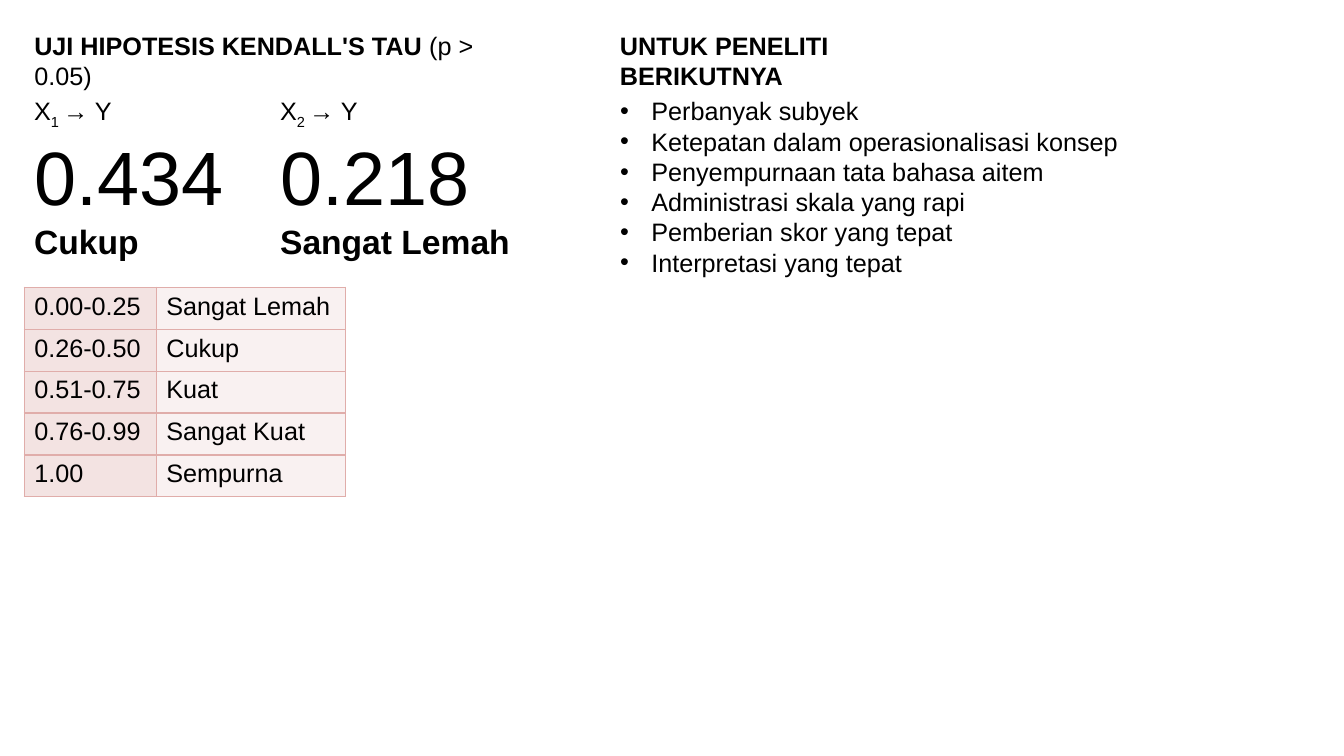
from dataclasses import dataclass

from lxml import etree
from pptx import Presentation
from pptx.dml.color import RGBColor
from pptx.enum.text import MSO_ANCHOR, MSO_AUTO_SIZE, PP_ALIGN
from pptx.oxml.ns import qn
from pptx.util import Inches, Pt

LEFT, TOP = PP_ALIGN.LEFT, MSO_ANCHOR.TOP
FIT_SHAPE = MSO_AUTO_SIZE.SHAPE_TO_FIT_TEXT


@dataclass(frozen=True)
class Theme:
    font: str = "Arial"
    ink: str = "000000"
    border: str = "E0ADAA"
    range_fill: str = "F3E3E2"
    label_fill: str = "F9F1F1"
    body: int = 18
    value: int = 54
    verdict: int = 24


THEME = Theme()

RESULTS = [
    ("1", "0.434", "Cukup", 0, 2.08),
    ("2", "0.218", "Sangat Lemah", 2.44, 2.48),
]
SCALE = [
    ("0.00-0.25", "Sangat Lemah"),
    ("0.26-0.50", "Cukup"),
    ("0.51-0.75", "Kuat"),
    ("0.76-0.99", "Sangat Kuat"),
    ("1.00", "Sempurna"),
]
ADVICE = [
    "Perbanyak subyek",
    "Ketepatan dalam operasionalisasi konsep",
    "Penyempurnaan tata bahasa aitem",
    "Administrasi skala yang rapi",
    "Pemberian skor yang tepat",
    "Interpretasi yang tepat",
]


def place(sp, x, y, w, h):
    box = {"left": x, "top": y, "width": w, "height": h}
    for name, value in box.items():
        setattr(sp, name, Inches(value))
    tf = sp.text_frame
    frame = {"word_wrap": False, "auto_size": FIT_SHAPE, "vertical_anchor": TOP}
    for name, value in frame.items():
        setattr(tf, name, value)
    return tf


def add_text_box(s, x, y, w, h):
    sp = s.shapes.add_textbox(0, 0, Inches(w), Inches(h))
    return place(sp, x, y, w, h)


def add_paragraph(tf, index):
    p = tf.add_paragraph() if index else tf.paragraphs[0]
    layout = {"alignment": LEFT, "space_before": Pt(0), "line_spacing": 1.0}
    for name, value in layout.items():
        setattr(p, name, value)
    return p


def add_run(p, text, size=THEME.body, bold=False, baseline=0):
    r = p.add_run()
    r.text = text
    style = {"name": THEME.font, "size": Pt(size), "bold": bold}
    for name, value in style.items():
        setattr(r.font, name, value)
    r.font.color.rgb = RGBColor.from_string(THEME.ink)
    if baseline:
        r.font._element.set("baseline", str(baseline * 1000))


def add_result(s, x, y, w, h, number, value, verdict):
    tf = add_text_box(s, x, y, w, h)
    p = add_paragraph(tf, 0)
    add_run(p, "X")
    add_run(p, number + " ", baseline=-25)
    add_run(p, "→ Y")
    add_run(add_paragraph(tf, 1), value, THEME.value)
    add_run(add_paragraph(tf, 2), verdict, THEME.verdict, True)


def set_borders(cell):
    tc_pr = cell._tc.get_or_add_tcPr()
    for side in ("lnL", "lnR", "lnT", "lnB"):
        ln = etree.SubElement(tc_pr, qn("a:" + side), w=str(Pt(1)))
        fill = etree.SubElement(ln, qn("a:solidFill"))
        etree.SubElement(fill, qn("a:srgbClr"), val=THEME.border)


def add_scale_table(s, x, y, w, h):
    tbl = s.shapes.add_table(
        len(SCALE), 2, Inches(x), Inches(y), Inches(w), Inches(h)
    ).table
    range_w = 1.31
    for col, width in zip(tbl.columns, (range_w, w - range_w)):
        col.width = Inches(width)
    for i, row in enumerate(SCALE):
        for j, text in enumerate(row):
            cell = tbl.cell(i, j)
            set_borders(cell)
            cell.fill.solid()
            color = THEME.label_fill if j else THEME.range_fill
            cell.fill.fore_color.rgb = RGBColor.from_string(color)
            add_run(add_paragraph(cell.text_frame, 0), text)


def add_hypothesis_region(s, x, y):
    tf = place(s.shapes.title, x, y, 5.19, 0.4)
    p = add_paragraph(tf, 0)
    add_run(p, "UJI HIPOTESIS KENDALL'S TAU ", bold=True)
    add_run(p, "(p > 0.05)")
    for number, value, verdict, offset, w in RESULTS:
        add_result(s, x + offset, y + 0.65, w, 1.72, number, value, verdict)
    add_scale_table(s, x, y + 2.6, 3.19, 2.08)


def add_advice_region(s, x, y):
    heading = add_text_box(s, x, y, 3.95, 0.4)
    add_run(add_paragraph(heading, 0), "UNTUK PENELITI BERIKUTNYA", bold=True)
    tf = place(s.placeholders[1], x, y + 0.65, 5.14, 1.92)
    indent = Inches(0.31)
    for i, text in enumerate(ADVICE):
        p = add_paragraph(tf, i)
        p_pr = p._p.get_or_add_pPr()
        for name, value in {"marL": indent, "indent": -indent}.items():
            p_pr.set(name, str(value))
        etree.SubElement(p_pr, qn("a:buFont"), typeface=THEME.font)
        etree.SubElement(p_pr, qn("a:buChar"), char="•")
        add_run(p, text)


def main():
    prs = Presentation()
    prs.slide_width, prs.slide_height = Inches(13.33), Inches(7.5)
    s = prs.slides.add_slide(prs.slide_layouts[1])
    add_hypothesis_region(s, 0.24, 0.25)
    add_advice_region(s, 6.05, 0.25)
    prs.save("out.pptx")


if __name__ == "__main__":
    main()
